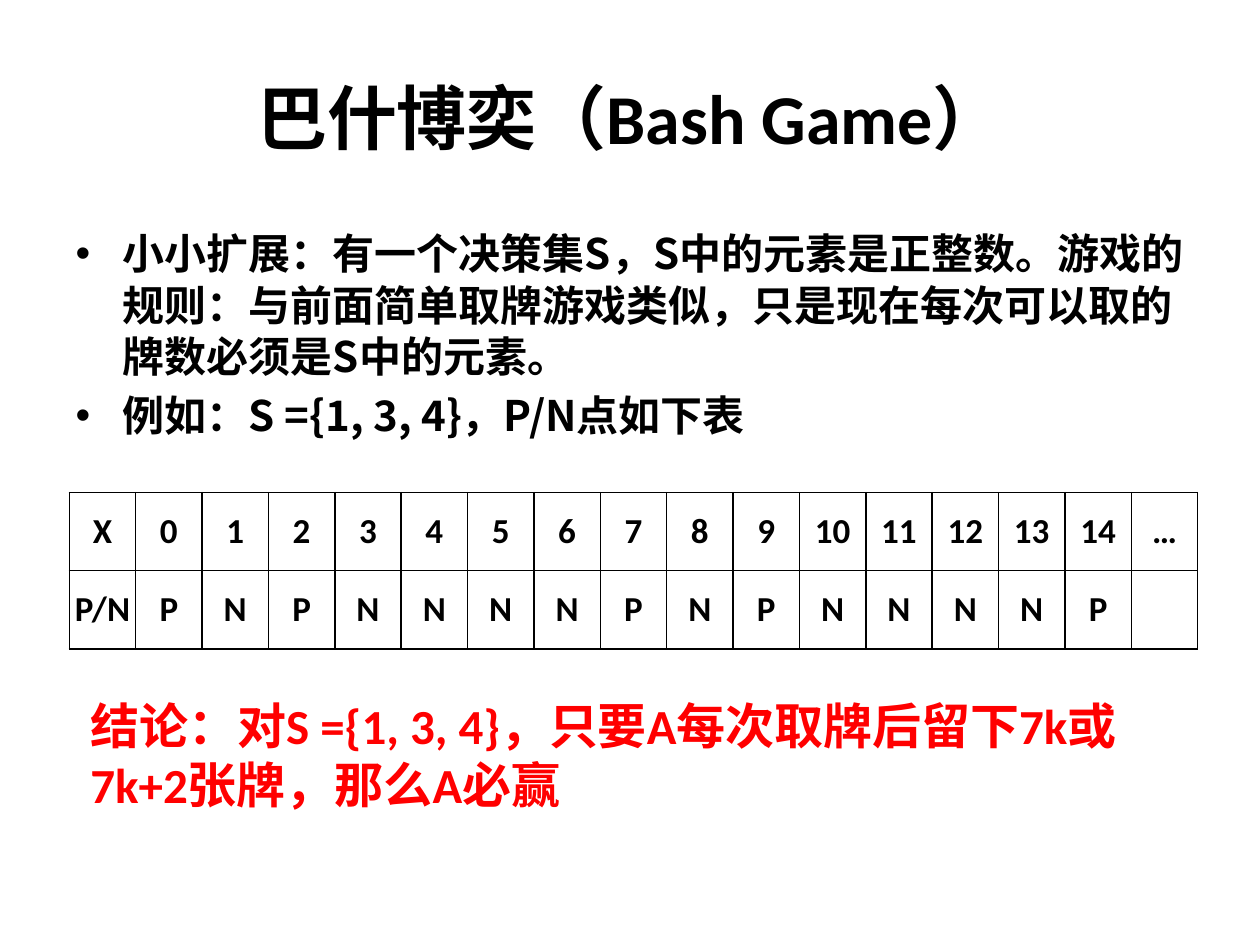
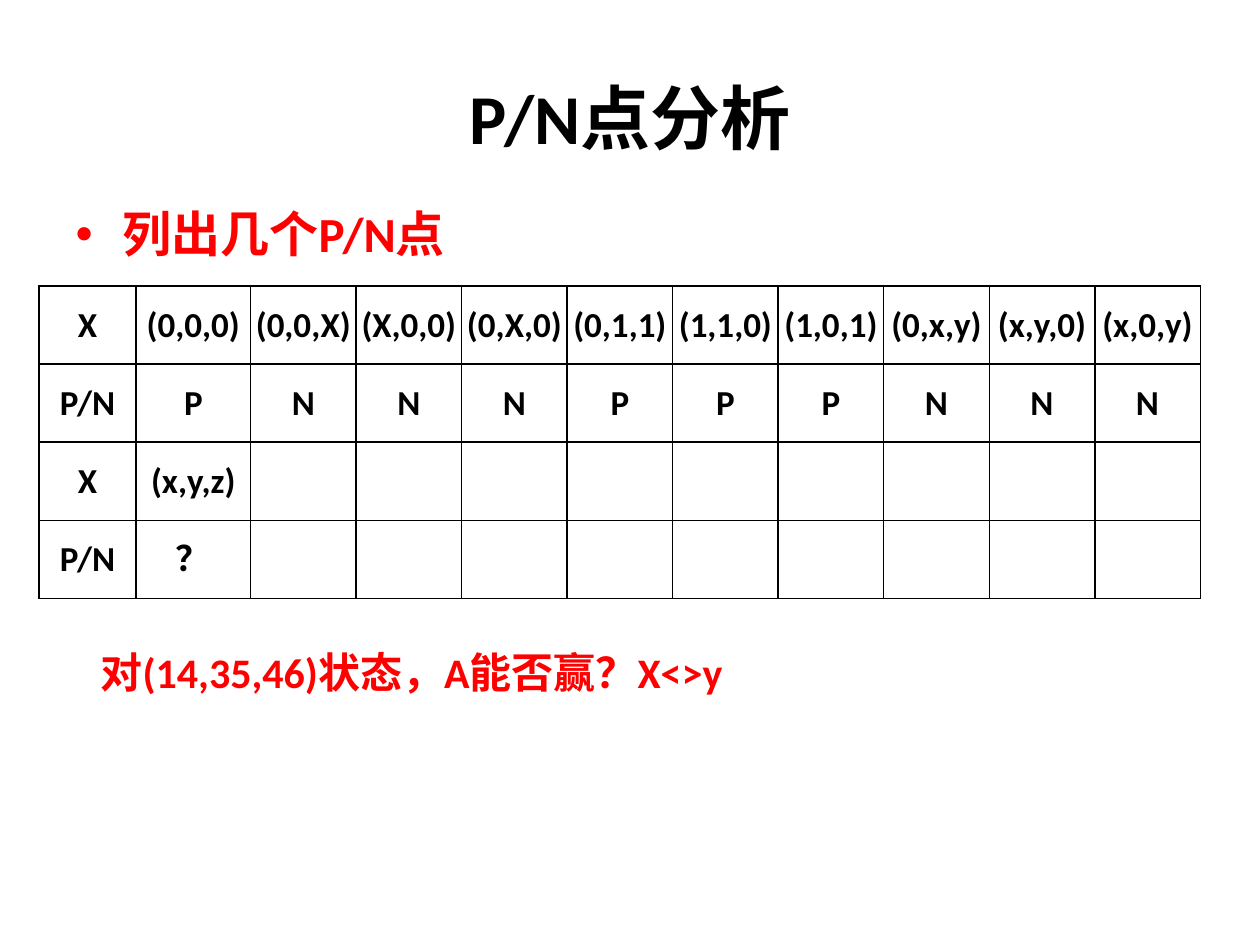
import lxml.etree
import pptx
import pptx.dml.color
import pptx.enum.lang
import pptx.enum.text
import pptx.oxml.ns
import pptx.util

Inches, Pt = pptx.util.Inches, pptx.util.Pt
qn = pptx.oxml.ns.qn
TextAlign = pptx.enum.text.PP_ALIGN
Anchor = pptx.enum.text.MSO_ANCHOR
AutoSize = pptx.enum.text.MSO_AUTO_SIZE

BLACK, RED = "000000", "FF0000"
LATIN, CHINESE = "Calibri", "Noto Sans CJK SC"
TITLE_AREA = (0.5, 0.3, 9, 1.25)
ROW_HEIGHT, CELL_MARGIN = 0.62, 0.04

SLIDES = [
    {
        "title": "巴什博奕（Bash Game）",
        "body": {
            "area": (0.5, 1.75, 9, 4.95),
            "items": [
                "小小扩展：有一个决策集S，S中的元素是正整数。游戏的规则：与前面简单取牌游戏类似，"
                "只是现在每次可以取的牌数必须是S中的元素。",
                "例如：S ={1, 3, 4}，P/N点如下表",
            ],
            "style": (24, BLACK, CHINESE),
        },
        "table": {
            "corner": (0.55, 3.91),
            "widths": [8.96 / 17] * 17,
            "rows": [
                ["X", *map(str, range(15)), "…"],
                ["P/N", *"PNPNNNNPNPNNNNP"],
            ],
        },
        "note": {
            "area": (0.62, 5.47, 8.83, 1.04),
            "text": "结论：对S ={1, 3, 4}，只要A每次取牌后留下7k或7k+2张牌，那么A必赢",
            "size": 28,
        },
    },
    {
        "title": "P/N点分析",
        "body": {
            "area": (0.5, 1.56, 9, 5.14),
            "items": ["列出几个P/N点"],
            "style": (28, RED, LATIN),
        },
        "table": {
            "corner": (0.31, 2.27),
            "widths": [0.77, 0.91] + [7.54 / 9] * 9,
            "rows": [
                ["X", "(0,0,0)", "(0,0,X)", "(X,0,0)", "(0,X,0)", "(0,1,1)",
                 "(1,1,0)", "(1,0,1)", "(0,x,y)", "(x,y,0)", "(x,0,y)"],
                ["P/N", *"PNNNPPPNNN"],
                ["X", "(x,y,z)"],
                ["P/N", "？"],
            ],
        },
        "note": {
            "area": (0.7, 5.08, 6.02, 0.5),
            "text": "对(14,35,46)状态，A能否赢？X<>y",
            "size": 24,
        },
    },
]


def color(hex_code):
    """Turn a hex string into a colour."""
    return pptx.dml.color.RGBColor.from_string(hex_code)


def place(shape, area):
    """Move and size a shape to an area in inches."""
    shape.left, shape.top, shape.width, shape.height = map(Inches, area)


def add_span(para, text, size, hex_code=BLACK, font=LATIN):
    """Add one bold run to a paragraph."""
    span = para.add_run()
    span.text = text
    span.font.size = Pt(size)
    span.font.bold = True
    span.font.name = font
    span.font.color.rgb = color(hex_code)
    span.font.language_id = pptx.enum.lang.MSO_LANGUAGE_ID.SIMPLIFIED_CHINESE
    east_asian = lxml.etree.Element(qn("a:ea"), typeface=LATIN)
    span.font._element.find(qn("a:latin")).addnext(east_asian)


def fill_title(page, text):
    """Fill the centred title placeholder."""
    box = page.shapes.title
    place(box, TITLE_AREA)
    box.text_frame.auto_size = AutoSize.NONE
    box.text_frame.vertical_anchor = Anchor.MIDDLE
    para = box.text_frame.paragraphs[0]
    para.alignment = TextAlign.CENTER
    add_span(para, text, 40)


def fill_body(page, area, items, style):
    """Fill the body placeholder with bulleted items."""
    box = page.placeholders[1]
    place(box, area)
    frame = box.text_frame
    frame.auto_size = AutoSize.NONE
    size = style[0]
    for index, item in enumerate(items):
        para = frame.add_paragraph() if index else frame.paragraphs[0]
        para.line_spacing = Pt(round(size * 1.22, 1))
        para.space_before = Pt(size * 0.2)
        add_span(para, item, *style)


def draw_borders(cell):
    """Give a cell thin black lines on all four sides."""
    properties = cell._tc.get_or_add_tcPr()
    for index, side in enumerate(("a:lnL", "a:lnR", "a:lnT", "a:lnB")):
        line = lxml.etree.Element(qn(side), w=str(Pt(1)))
        fill = lxml.etree.SubElement(line, qn("a:solidFill"))
        lxml.etree.SubElement(fill, qn("a:srgbClr"), val=BLACK)
        properties.insert(index, line)


def add_grid(page, corner, widths, rows):
    """Add a plain ruled table; short rows end in empty cells."""
    area = (*corner, sum(widths), ROW_HEIGHT * len(rows))
    table = page.shapes.add_table(len(rows), len(widths), *map(Inches, area)).table
    table.first_row = table.horz_banding = False
    for column, width in zip(table.columns, widths):
        column.width = Inches(width)
    for row, texts in enumerate(rows):
        table.rows[row].height = Inches(ROW_HEIGHT)
        for column in range(len(widths)):
            cell = table.cell(row, column)
            cell.fill.background()
            draw_borders(cell)
            cell.vertical_anchor = Anchor.MIDDLE
            cell.margin_left = cell.margin_right = Inches(CELL_MARGIN)
            cell.margin_top = cell.margin_bottom = Inches(CELL_MARGIN)
            if column < len(texts):
                para = cell.text_frame.paragraphs[0]
                para.alignment = TextAlign.CENTER
                add_span(para, texts[column], 20)


def add_note(page, area, text, size):
    """Add the red remark under the table."""
    box = page.shapes.add_textbox(*map(Inches, area))
    box.text_frame.word_wrap = True
    box.text_frame.auto_size = AutoSize.SHAPE_TO_FIT_TEXT
    add_span(box.text_frame.paragraphs[0], text, size, RED)


deck = pptx.Presentation()
deck.slide_width, deck.slide_height = Inches(10), Inches(7.5)
for content in SLIDES:
    page = deck.slides.add_slide(deck.slide_layouts[1])
    fill_title(page, content["title"])
    fill_body(page, **content["body"])
    add_grid(page, **content["table"])
    add_note(page, **content["note"])
deck.save("out.pptx")
